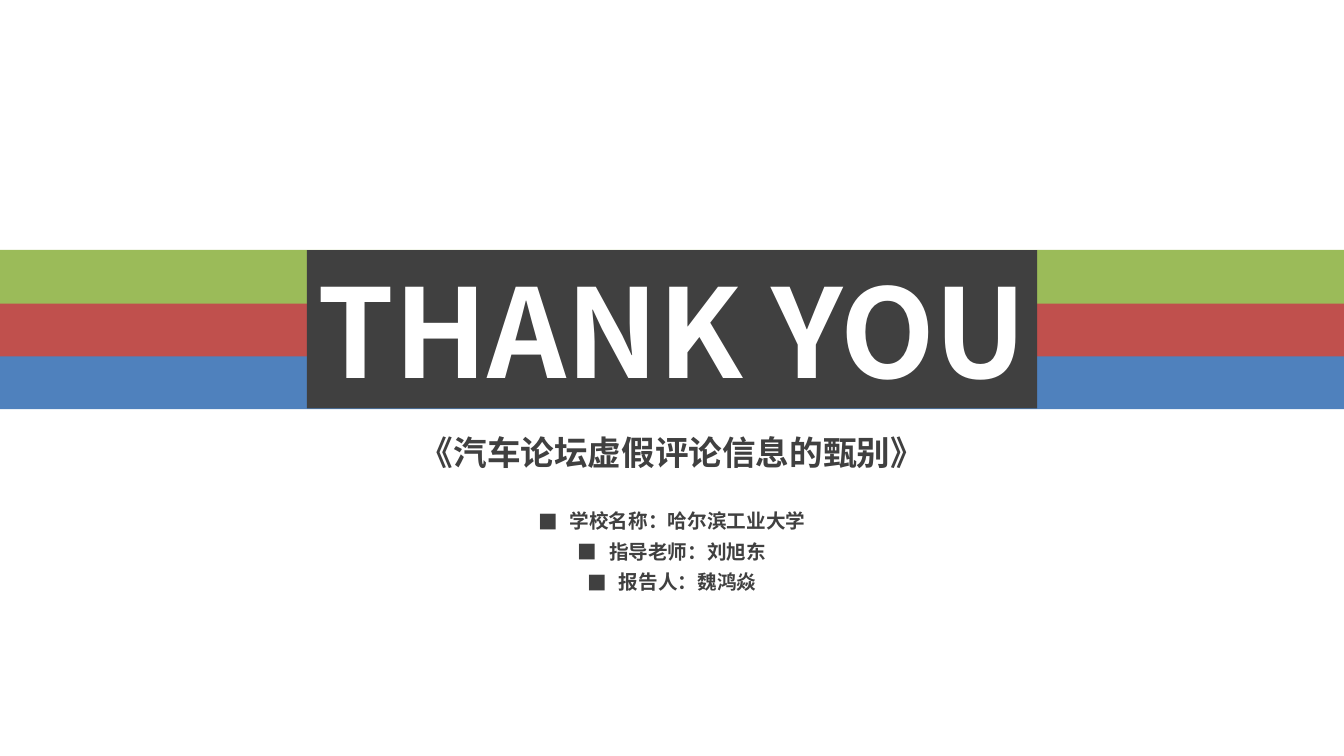
from lxml import etree
from pptx import Presentation
from pptx import util as u
from pptx.dml.color import RGBColor
from pptx.enum import shapes, text
from pptx.oxml.ns import qn

GREEN = RGBColor(0x9B, 0xBB, 0x59)
RED = RGBColor(0xC0, 0x50, 0x4D)
BLUE = RGBColor(0x4F, 0x81, 0xBD)
DARK = RGBColor(0x40, 0x40, 0x40)
WHITE = RGBColor(0xFF, 0xFF, 0xFF)

FONT = "Noto Sans CJK SC"
SLIDE_WIDTH, SLIDE_HEIGHT = u.Cm(33.87), u.Cm(19.05)
BAND_TOP = u.Cm(6.3)


def place(shape, left, top, width, height):
    shape.left, shape.top, shape.width, shape.height = left, top, width, height


def write(shape, lines, size, color=DARK, wrap=False, spacing=1.0,
          anchor=text.MSO_ANCHOR.TOP):
    """Fill a shape with centred bold lines and return its paragraphs."""
    frame = shape.text_frame
    frame.auto_size = text.MSO_AUTO_SIZE.NONE
    frame.word_wrap = wrap
    frame.vertical_anchor = anchor
    frame.text = "\n".join(lines)
    for paragraph in frame.paragraphs:
        paragraph.alignment = text.PP_ALIGN.CENTER
        paragraph.line_spacing = spacing
        paragraph.space_before = u.Pt(0)
        for run in paragraph.runs:
            font = run.font
            font.size, font.bold, font.name = u.Pt(size), True, FONT
            font.color.rgb = color
            east_asian = etree.SubElement(run.font._element, qn("a:ea"))
            east_asian.set("typeface", FONT)
    return frame.paragraphs


def add_bullet(paragraph, indent, color):
    properties = paragraph._p.get_or_add_pPr()
    properties.set("marL", str(indent))
    properties.set("indent", str(-indent))
    bullet_color = etree.SubElement(properties, qn("a:buClr"))
    etree.SubElement(bullet_color, qn("a:srgbClr")).set("val", str(color))
    etree.SubElement(properties, qn("a:buFont")).set("typeface", FONT)
    etree.SubElement(properties, qn("a:buChar")).set("char", "■")


def build_stripes(slide, left, top, width, pitch):
    """Full-width stripes behind the title, each lapping over the next."""
    for row, color in reversed(list(enumerate((GREEN, RED, BLUE)))):
        stripe = slide.shapes.add_shape(
            shapes.MSO_SHAPE.RECTANGLE, left, top + row * pitch,
            width, pitch + u.Cm(0.02))
        stripe.shadow.inherit = False
        stripe.fill.solid()
        stripe.fill.fore_color.rgb = color
        stripe.line.fill.background()
        slide.shapes.title.element.addprevious(stripe.element)


def build_title(slide, left, top, width, height):
    title = slide.shapes.title
    place(title, left, top, width, height)
    title.fill.solid()
    title.fill.fore_color.rgb = DARK
    write(title, ["THANK YOU"], 88, color=WHITE,
          anchor=text.MSO_ANCHOR.MIDDLE)


def build_topic(slide, left, top, width, height):
    topic = slide.shapes.add_textbox(left, top, width, height)
    write(topic, ["《汽车论坛虚假评论信息的甄别》"], 24)


def build_credits(slide, left, top, width, height):
    body = slide.placeholders[1]
    place(body, left, top, width, height)
    lines = ["学校名称：哈尔滨工业大学", "指导老师：刘旭东", "报告人：魏鸿焱"]
    for paragraph in write(body, lines, 14, wrap=True, spacing=1.3):
        add_bullet(paragraph, u.Cm(0.79), DARK)


def build_closing_slide(presentation):
    slide = presentation.slides.add_slide(presentation.slide_layouts[1])

    def centred(width):
        return (SLIDE_WIDTH - width) // 2

    # Coloured band and title panel
    build_stripes(slide, 0, BAND_TOP, SLIDE_WIDTH, u.Cm(1.33))
    panel_width = u.Cm(18.4)
    build_title(slide, centred(panel_width), BAND_TOP, panel_width, u.Cm(3.99))

    # Topic and credits below the band
    topic_width = u.Cm(13.2)
    build_topic(slide, centred(topic_width), u.Cm(10.75), topic_width, u.Cm(1.28))
    credits_width = u.Cm(14.58)
    build_credits(slide, centred(credits_width), u.Cm(12.52), credits_width,
                  u.Cm(2.4))


def main():
    presentation = Presentation()
    presentation.slide_width = SLIDE_WIDTH
    presentation.slide_height = SLIDE_HEIGHT
    build_closing_slide(presentation)
    presentation.save("out.pptx")


if __name__ == "__main__":
    main()
